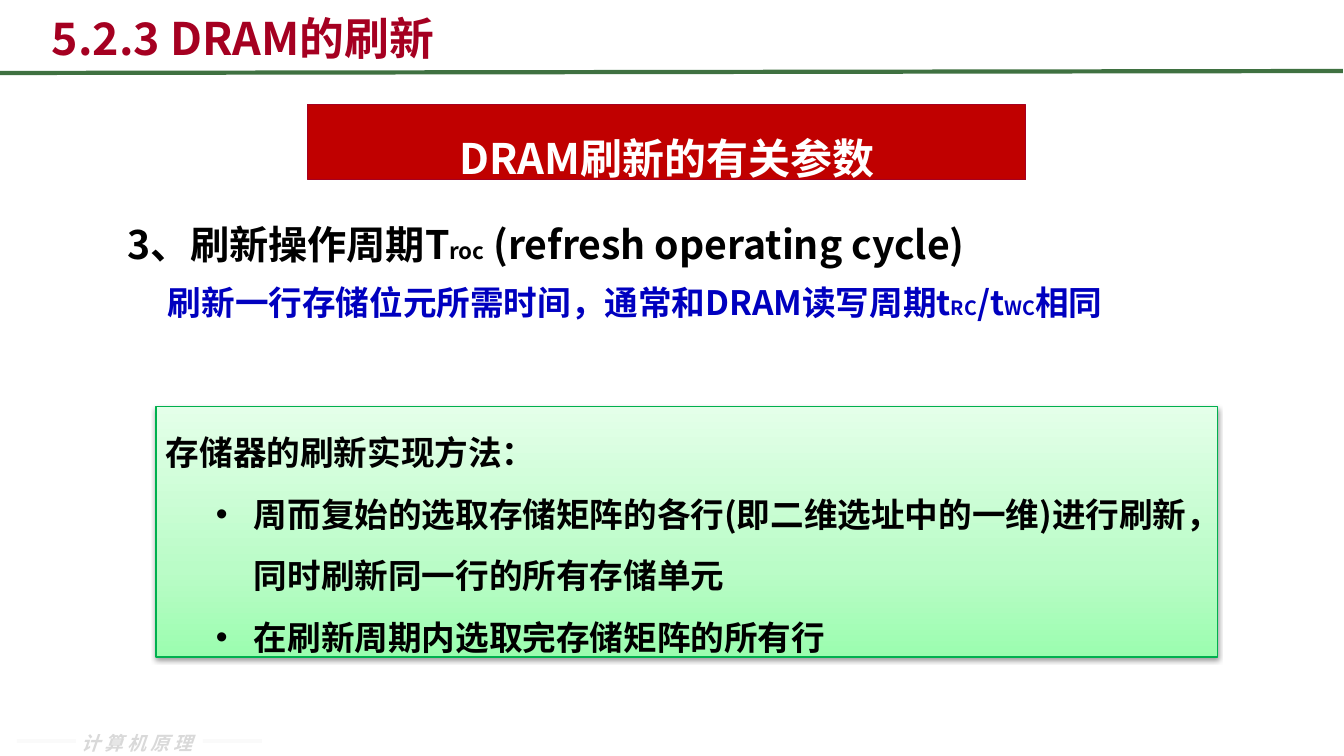
import pptx
import pptx.util
import pptx.oxml
import pptx.oxml.ns
import pptx.dml.color
import pptx.enum.shapes
import pptx.enum.text
import lxml.etree

COLORS = {"crimson": "A50021", "banner": "C00000", "rule": "3F7141", "black": "000000",
          "white": "FFFFFF", "blue": "0000BF", "grey": "D9D9D9", "fade": "FAFAFA",
          "green": "00B04E"}
FONT = "Noto Sans CJK SC"
GREEN_STOPS = [(0, "E4FFE9"), (65, "BAFCC7"), (100, "9BFDAF")]

# Content: each paragraph has its runs as (text, size) and its format
TITLE = [{"runs": [("5.2.3 DRAM的刷新", 32)], "color": "crimson"}]
BANNER = [{"runs": [("DRAM刷新的有关参数", 30)], "color": "white", "pitch": 81, "align": "CENTER"}]
CYCLE = [
    {"runs": [("3、刷新操作周期T", 28), ("roc", 16), (" (refresh operating cycle)", 28)],
     "pitch": 57, "left": 50},
    {"runs": [("刷新一行存储位元所需时间，通常和DRAM读写周期t", 24), ("RC", 14), ("/t", 24),
              ("WC", 14), ("相同", 24)],
     "color": "blue", "pitch": 53, "left": 90, "before": 2},
]
METHOD = [
    {"runs": [("存储器的刷新实现方法：", 24)], "pitch": 61},
    {"runs": [("周而复始的选取存储矩阵的各行(即二维选址中的一维)进行刷新，"
               "同时刷新同一行的所有存储单元", 24)],
     "pitch": 61, "left": 88, "hang": 38, "before": 1},
    {"runs": [("在刷新周期内选取完存储矩阵的所有行", 24)],
     "pitch": 61, "left": 88, "hang": 38, "before": 1},
]
COURSE = [{"runs": [("计算机原理", 13.5)], "color": "grey", "italic": True, "tracking": 300}]

# Places in px: left, top, width, height
TITLE_AT = (42, -3, 1210, 72)
BANNER_AT = (308, 105, 718, 75)
CYCLE_AT = (68, 205, 1249, 173)
METHOD_AT = (156, 406, 1062, 251)
COURSE_AT = (72, 727, 147, 34)
FADES_AT = [(17, 739, 59, 4), (203, 739, 59, 4)]
RULE_AT = (0, 73, 1343, 71)


def px(length):
    return pptx.util.Emu(round(length * 914400 / 100.8))


def rgb(name):
    return pptx.dml.color.RGBColor.from_string(COLORS[name])


def add_xml(parent, xml):
    element = pptx.oxml.parse_xml(
        xml.replace(" ", f" {pptx.oxml.ns.nsdecls('a')} ", 1))
    parent.append(element)
    return element


def write(shape, paragraphs, anchor="TOP"):
    frame = shape.text_frame
    frame.word_wrap = True
    frame.vertical_anchor = getattr(pptx.enum.text.MSO_ANCHOR, anchor)
    for index, content in enumerate(paragraphs):
        paragraph = frame.add_paragraph() if index else frame.paragraphs[0]
        properties = paragraph._p.get_or_add_pPr()
        properties.set("marL", str(px(content.get("left", 0))))
        properties.set("indent", str(px(-content.get("hang", 0))))
        if "hang" in content:
            add_xml(properties, '<a:buFont typeface="Arial"/>')
            add_xml(properties, '<a:buChar char="•"/>')
        layout = {"alignment": getattr(pptx.enum.text.PP_ALIGN, content.get("align", "LEFT"))}
        if "pitch" in content:
            layout["line_spacing"] = px(content["pitch"])
        if "before" in content:
            layout["space_before"] = px(content["before"])
        for key, value in layout.items():
            setattr(paragraph, key, value)
        for text, size in content["runs"]:
            run = paragraph.add_run()
            run.text = text
            look = {"name": FONT, "size": pptx.util.Pt(size), "bold": True,
                    "italic": content.get("italic", False)}
            for key, value in look.items():
                setattr(run.font, key, value)
            run.font.color.rgb = rgb(content.get("color", "black"))
            run_properties = run._r.get_or_add_rPr()
            add_xml(run_properties, f'<a:ea typeface="{FONT}"/>')
            if "tracking" in content:
                run_properties.set("spc", str(content["tracking"]))


def add_text(slide, place, paragraphs, anchor="TOP"):
    write(slide.shapes.add_textbox(*map(px, place)), paragraphs, anchor)


def add_panel(slide, place, fill, line=None):
    panel = slide.shapes.add_shape(pptx.enum.shapes.MSO_SHAPE.RECTANGLE, *map(px, place))
    panel.shadow.inherit = False
    panel.fill.solid()
    panel.fill.fore_color.rgb = rgb(fill)
    if line:
        panel.line.color.rgb = rgb(line)
        panel.line.width = pptx.util.Pt(0.75)
    else:
        panel.line.fill.background()
    return panel


def shade_method(panel):
    stops = "".join(f'<a:gs pos="{at * 1000}"><a:srgbClr val="{color}"/></a:gs>'
                    for at, color in GREEN_STOPS)
    shape_properties = panel._element.spPr
    gradient = add_xml(shape_properties, '<a:gradFill rotWithShape="1"><a:gsLst>' + stops +
                       '</a:gsLst><a:lin ang="5400000" scaled="0"/></a:gradFill>')
    solid = shape_properties.find(pptx.oxml.ns.qn("a:solidFill"))
    shape_properties.replace(solid, gradient)
    effects = shape_properties.find(pptx.oxml.ns.qn("a:effectLst"))
    add_xml(effects, '<a:outerShdw blurRad="39400" dist="20300" dir="5400000" rotWithShape="0">'
            '<a:srgbClr val="000000"><a:alpha val="38000"/></a:srgbClr></a:outerShdw>')


def main():
    deck = pptx.Presentation()
    deck.slide_width, deck.slide_height = px(1344), px(756)
    slide = deck.slides.add_slide(deck.slide_layouts[6])

    # Course footer and header rule
    add_text(slide, COURSE_AT, COURSE)
    for place in FADES_AT:
        add_panel(slide, place, "fade")
    rule = slide.shapes.add_connector(pptx.enum.shapes.MSO_CONNECTOR.STRAIGHT,
                                      *map(px, RULE_AT))
    rule.line.color.rgb = rgb("rule")
    rule.line.width = pptx.util.Pt(3)
    add_xml(rule._element.spPr, "<a:effectLst />")

    # Title and refresh cycle
    add_text(slide, TITLE_AT, TITLE, "BOTTOM")
    add_text(slide, CYCLE_AT, CYCLE)

    # Banner and refresh method
    write(add_panel(slide, BANNER_AT, "banner", "crimson"), BANNER, "MIDDLE")
    method = add_panel(slide, METHOD_AT, "green", "green")
    shade_method(method)
    write(method, METHOD)

    deck.save("out.pptx")


if __name__ == "__main__":
    main()
